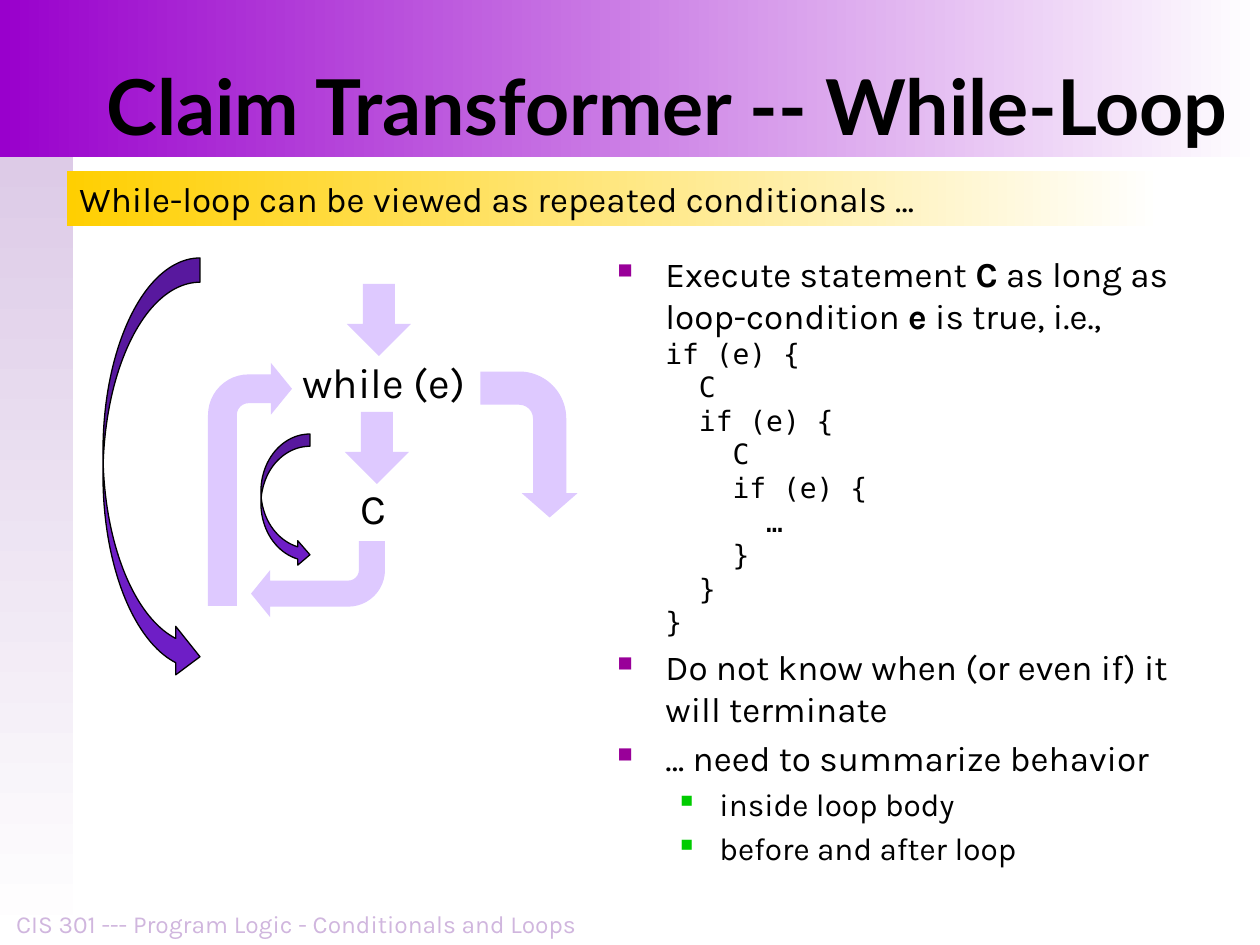
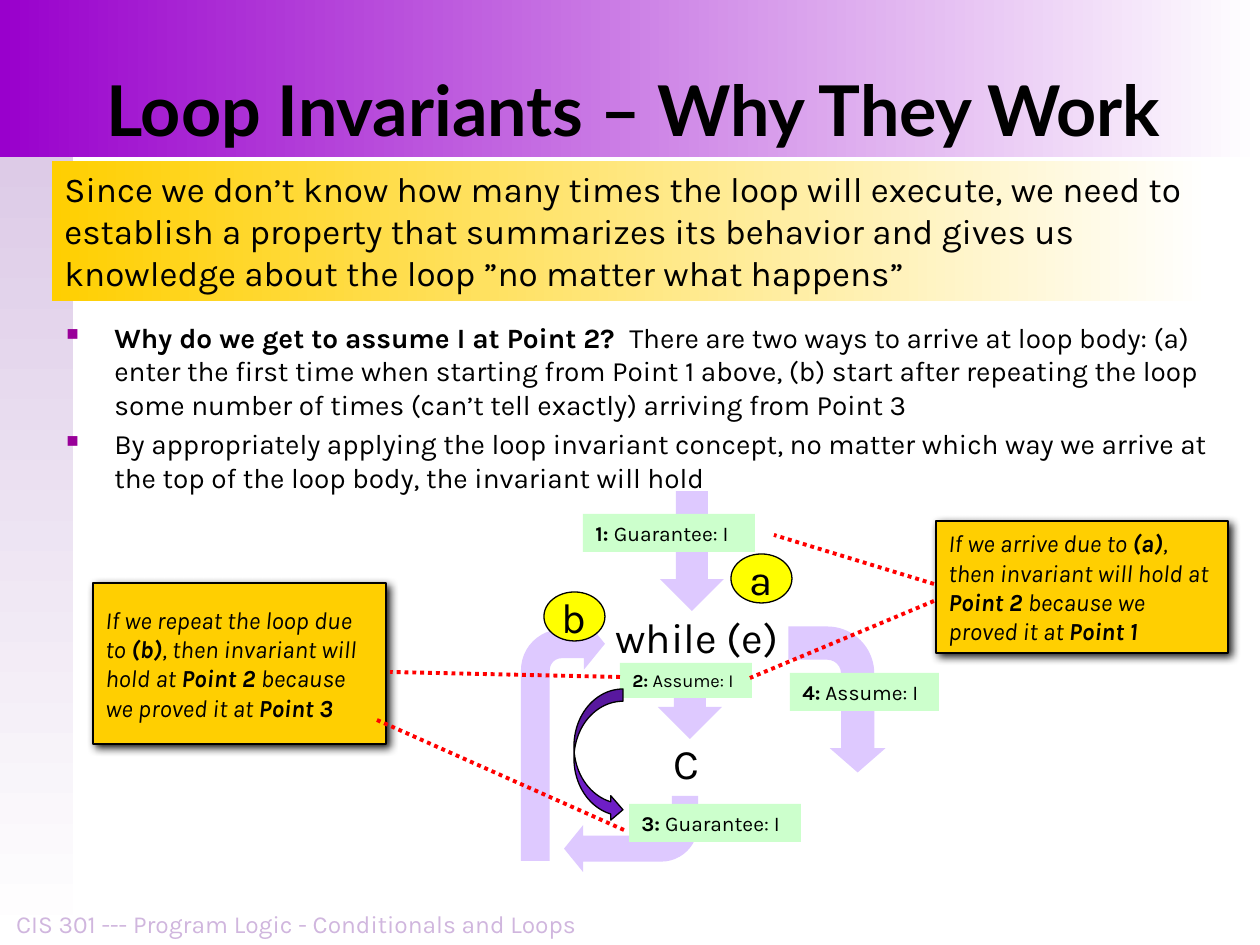
from copy import deepcopy

from lxml import etree
from pptx import Presentation
from pptx.dml.color import RGBColor
from pptx.enum.dml import MSO_LINE
from pptx.enum.shapes import MSO_CONNECTOR, MSO_SHAPE
from pptx.enum.text import MSO_ANCHOR, PP_ALIGN
from pptx.oxml.ns import qn
from pptx.util import Emu, Pt

PX = 914400 // 126

BLACK = RGBColor(0x00, 0x00, 0x00)
WHITE = RGBColor(0xFF, 0xFF, 0xFF)
PURPLE = RGBColor(0x99, 0x00, 0xCC)
LILAC = RGBColor(0xDD, 0xCB, 0xE7)
FOOTER_LILAC = RGBColor(0xD0, 0xB6, 0xDE)
FLOW_LILAC = RGBColor(0xDE, 0xC9, 0xFF)
VIOLET = RGBColor(0x6E, 0x1E, 0xC6)
GOLD = RGBColor(0xFF, 0xCF, 0x01)
YELLOW = RGBColor(0xFF, 0xFF, 0x00)
MINT = RGBColor(0xCC, 0xFF, 0xCC)
RED = RGBColor(0xFF, 0x00, 0x00)
SHADOW = RGBColor(0x1C, 0x1C, 0x1C)
PLUM = RGBColor(0x99, 0x00, 0x99)
GREEN = RGBColor(0x00, 0xCC, 0x00)

TITLE_FONT, BODY_FONT, CODE_FONT = "Lato", "Karla", "DejaVu Sans Mono"

RECT = MSO_SHAPE.RECTANGLE
OVAL = MSO_SHAPE.OVAL
DOWN = MSO_SHAPE.DOWN_ARROW
BENT = MSO_SHAPE.BENT_ARROW
CURVED = MSO_SHAPE.CURVED_RIGHT_ARROW
STRAIGHT = MSO_CONNECTOR.STRAIGHT
DOTTED = MSO_LINE.ROUND_DOT
TOP, MIDDLE, BOTTOM = MSO_ANCHOR.TOP, MSO_ANCHOR.MIDDLE, MSO_ANCHOR.BOTTOM
LEFT, CENTER = PP_ALIGN.LEFT, PP_ALIGN.CENTER

BULLETS = [(48, 48, PLUM, 60), (102, 39, GREEN, 55)]

CODE = """if (e) {
  C
  if (e) {
    C
    if (e) {
      …
    }
  }
}"""


def px(*values):
    return [Emu(v * PX) for v in values]


def add_shape(s, kind, box, fill, line=None, rotation=0):
    sp = s.shapes.add_shape(kind, *px(*box))
    sp.shadow.inherit = False
    sp.rotation = rotation
    sp.fill.solid()
    sp.fill.fore_color.rgb = fill
    if line:
        sp.line.color.rgb = BLACK
        sp.line.width = Pt(line)
    else:
        sp.line.fill.background()
    return sp


def add_gradient(s, box, color, angle=0):
    sp = add_shape(s, RECT, box, color)
    sp.fill.gradient()
    sp.fill.gradient_angle = angle
    for stop, rgb in zip(sp.fill.gradient_stops, (color, WHITE)):
        stop.color.rgb = rgb
    return sp


def add_runs(p, text, size, font=BODY_FONT, color=BLACK, bold=False, italic=False):
    for i, part in enumerate(text.split("*")):
        for j, line in enumerate(part.split("\n")):
            if j:
                p.add_line_break()
                br = p._p.findall(qn("a:br"))[-1]
                br.append(deepcopy(p.runs[-1]._r.rPr))
            if line:
                r = p.add_run()
                r.text = line
                r.font.name = font
                r.font.size = Pt(size)
                r.font.color.rgb = color
                r.font.bold = bold or i % 2 == 1
                r.font.italic = italic


def write(sp, text, size, anchor=TOP, align=LEFT, wrap=True, **style):
    tf = sp.text_frame
    tf.word_wrap = wrap
    tf.vertical_anchor = anchor
    p = tf.paragraphs[0]
    p.alignment = align
    add_runs(p, text, size, **style)


def add_text(s, box, text, size, **options):
    write(s.shapes.add_textbox(*px(*box)), text, size, **options)


def add_bullets(s, box, items):
    tf = s.shapes.add_textbox(*px(*box)).text_frame
    tf.word_wrap = True
    for i, (level, size, text, code) in enumerate(items):
        p = tf.paragraphs[0] if i == 0 else tf.add_paragraph()
        p.level = level
        p.space_before = Pt(size * 0.2)
        add_runs(p, text, size)
        if code:
            add_runs(p, code, 16, font=CODE_FONT)
        margin, hang, color, percent = BULLETS[level]
        pPr = p._p.get_or_add_pPr()
        pPr.set("marL", str(margin * PX))
        pPr.set("indent", str(-hang * PX))
        clr = etree.SubElement(pPr, qn("a:buClr"))
        etree.SubElement(clr, qn("a:srgbClr"), val=str(color))
        etree.SubElement(pPr, qn("a:buSzPct"), val=str(percent * 1000))
        etree.SubElement(pPr, qn("a:buChar"), char="■")


def add_bent_arrow(s, box, rotation=0, head=0.308):
    sp = add_shape(s, BENT, box, FLOW_LILAC, rotation=rotation)
    for i, value in enumerate((0.343, head, 0.25, 0.484)):
        sp.adjustments[i] = value


def add_loop_flow(s, x, y, entry_height, exit_shift=0):
    add_text(s, (x + 82, y + 66, 190, 63), "while (e)", 24, wrap=False)
    add_text(s, (x + 140, y + 192, 50, 64), "C", 24, wrap=False)
    add_shape(s, DOWN, (x + 137, y + 128, 64, 72), FLOW_LILAC)
    add_bent_arrow(s, (x + 43, y + 257, 134, 76), 180)
    add_shape(s, DOWN, (x + 139, y + 72 - entry_height, 64, entry_height), FLOW_LILAC)
    add_bent_arrow(s, (x, y + 79, 84, 243))
    add_bent_arrow(s, (x + 248 + exit_shift, y + 112, 146, 97), 90, head=0.287)


def add_curve(s, box):
    add_shape(s, CURVED, box, VIOLET, 0.75)


def add_label(s, box, text, size=12):
    write(add_shape(s, RECT, box, MINT), text, size, wrap=False)


def add_marker(s, x, y, letter):
    sp = add_shape(s, OVAL, (x, y, 61, 49), YELLOW, 0.75)
    write(sp, letter, 24, anchor=MIDDLE, align=CENTER, wrap=False)


def add_callout(s, box, text, pointers):
    sp = add_shape(s, RECT, box, GOLD, 1)
    write(sp, text, 14, anchor=MIDDLE, italic=True)
    effects = sp._element.spPr.find(qn("a:effectLst"))
    shadow = etree.SubElement(effects, qn("a:outerShdw"), blurRad=str(Pt(5)),
                              dist=str(Pt(2.8)), dir="2700000", algn="ctr", rotWithShape="0")
    etree.SubElement(shadow, qn("a:srgbClr"), val=str(SHADOW))
    for ends in pointers:
        line = s.shapes.add_connector(STRAIGHT, *px(*ends))
        line.line.color.rgb = RED
        line.line.width = Pt(2.25)
        line.line.dash_style = DOTTED
        etree.SubElement(line._element.spPr, qn("a:effectLst"))


def add_slide(prs, title, title_size, banner, banner_box):
    s = prs.slides.add_slide(prs.slide_layouts[6])
    add_gradient(s, (0, 157, 73, 788), LILAC, 270)
    add_gradient(s, (0, 0, 1260, 157), PURPLE)
    add_text(s, (94, 0, 1148, 157), title, title_size, anchor=BOTTOM,
             font=TITLE_FONT, bold=True)
    add_text(s, (0, 903, 593, 42), "CIS 301 --- Program Logic - Conditionals and Loops",
             14, anchor=BOTTOM, align=CENTER, color=FOOTER_LILAC)
    write(add_gradient(s, banner_box, GOLD), banner, 20)
    return s


def add_while_loop_slide(prs):
    s = add_slide(prs, "Claim Transformer -- While-Loop", 44,
                  "While-loop can be viewed as repeated conditionals …",
                  (67, 171, 1095, 55))
    add_loop_flow(s, 208, 284, 72)
    add_curve(s, (261, 434, 49, 133))
    add_curve(s, (103, 258, 97, 423))
    add_bullets(s, (605, 246, 612, 671), [
        (0, 20, "Execute statement *C* as long as loop-condition *e* is true, i.e., \n", CODE),
        (0, 20, "Do not know when (or even if) it will terminate", None),
        (0, 20, "… need to summarize behavior", None),
        (1, 18, "inside loop body", None),
        (1, 18, "before and after loop", None),
    ])


def add_invariants_slide(prs):
    s = add_slide(prs, "Loop Invariants – Why They Work", 40,
                  "Since we don’t know how many times the loop will execute, we need to "
                  "establish a property that summarizes its behavior and gives us "
                  "knowledge about the loop ”no matter what happens”",
                  (52, 161, 1158, 140))
    add_bullets(s, (54, 314, 1188, 163), [
        (0, 16, "*Why do we get to assume I at Point 2?  *There are two ways to arrive at "
                "loop body: (a) enter the first time when starting from Point 1 above, "
                "(b) start after repeating the loop some number of times (can’t tell "
                "exactly) arriving from Point 3", None),
        (0, 16, "By appropriately applying the loop invariant concept, no matter which way "
                "we arrive at the top of the loop body, the invariant will hold", None),
    ])
    add_loop_flow(s, 521, 539, 120, exit_shift=-5)
    add_label(s, (583, 514, 172, 38), "*1: *Guarantee: I")
    add_label(s, (620, 663, 132, 35), "*2:* Assume: I", 10.5)
    add_label(s, (629, 804, 172, 38), "*3:* Guarantee: I")
    add_label(s, (790, 673, 149, 38), "*4:* Assume: I")
    add_curve(s, (574, 689, 49, 133))
    add_marker(s, 731, 554, "a")
    add_marker(s, 544, 592, "b")
    add_callout(s, (936, 521, 292, 132),
                "If we arrive due to *(a)*, then invariant will hold at *Point 2 *"
                "because we proved it at *Point 1*",
                [(934, 584, 774, 535), (934, 601, 750, 678)])
    add_callout(s, (93, 583, 293, 161),
                "If we repeat the loop due to *(b)*, then invariant will hold at *Point 2 *"
                "because we proved it at *Point 3*",
                [(620, 677, 390, 672), (624, 830, 377, 720)])


def main():
    prs = Presentation()
    prs.slide_width, prs.slide_height = px(1260, 945)
    add_while_loop_slide(prs)
    add_invariants_slide(prs)
    prs.save("out.pptx")


if __name__ == "__main__":
    main()
